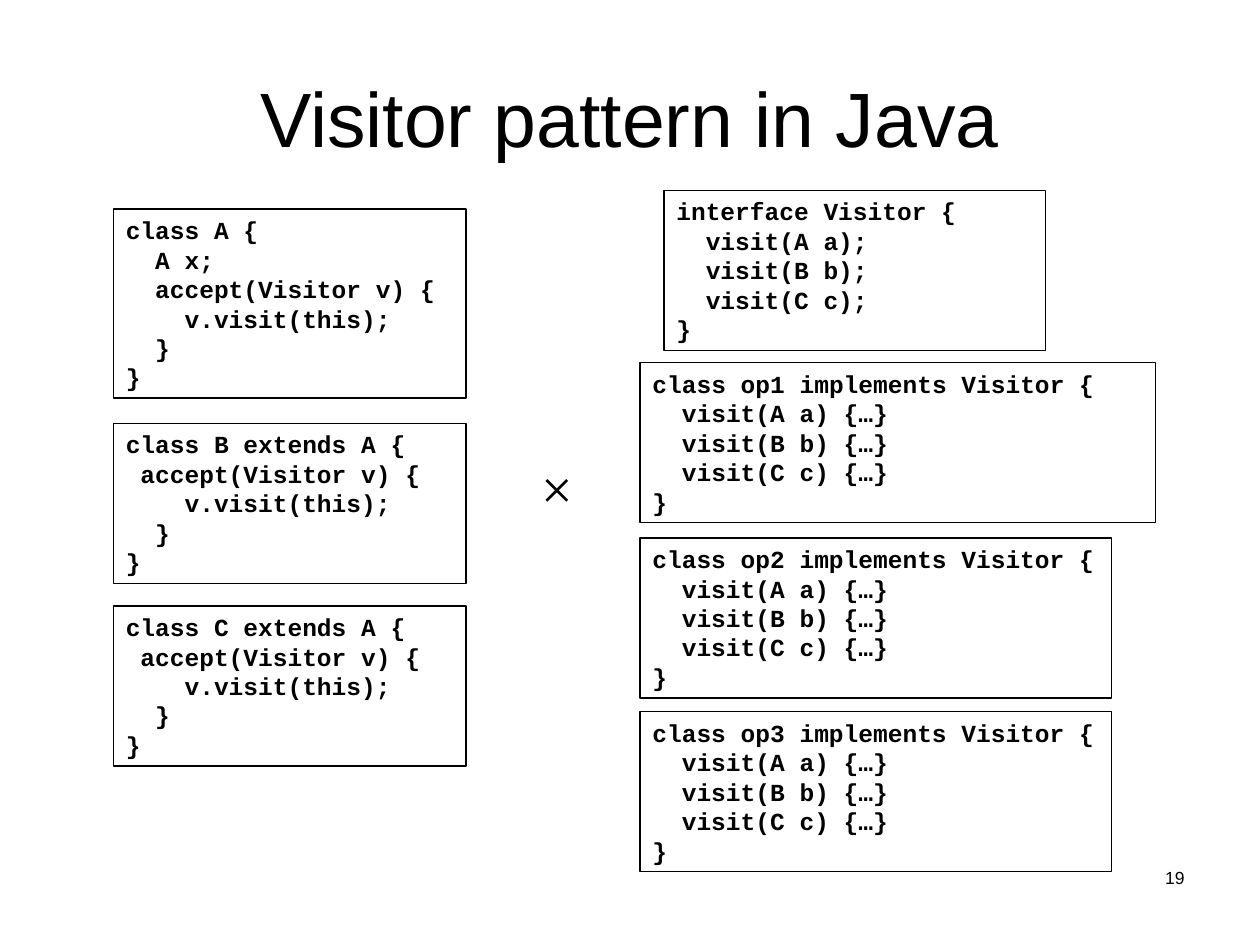
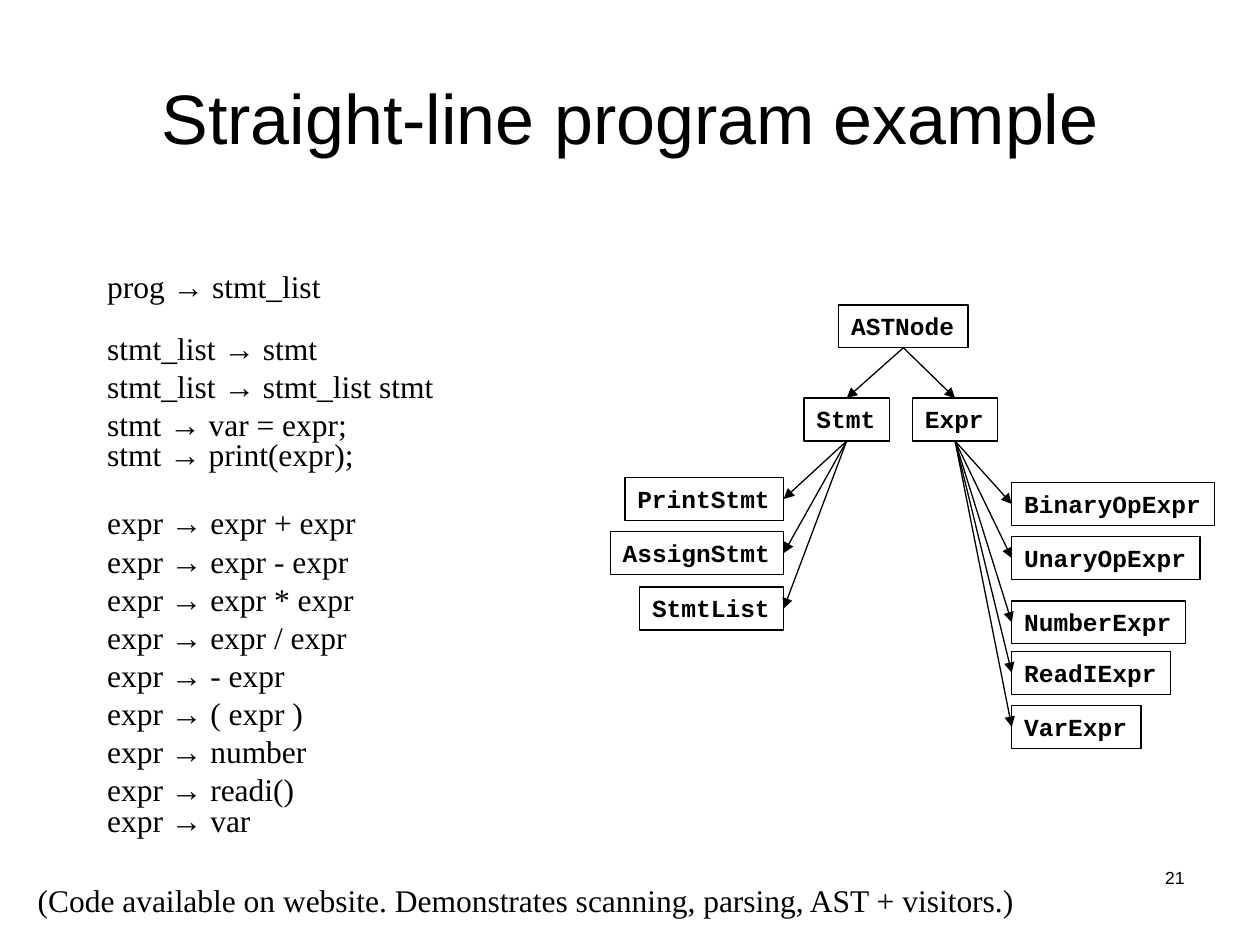
import lxml.etree
import pptx
import pptx.dml.color
import pptx.enum.shapes
import pptx.enum.text
import pptx.oxml.ns
import pptx.util

Inches = pptx.util.Inches
Pt = pptx.util.Pt
qn = pptx.oxml.ns.qn


class Theme:
    ink = pptx.dml.color.RGBColor(0, 0, 0)
    sans, serif, mono = "Arial", "Times New Roman", "Courier New"
    number_size, code_size, text_size, times_size = 10, 14, 18, 32
    line_width = Pt(0.75)


def style(paragraph, face, size, bold=False):
    paragraph.font.name = face
    paragraph.font.size = Pt(size)
    paragraph.font.bold = bold
    paragraph.font.color.rgb = Theme.ink


def add_text(slide, text, left, top, width, height, face, size, boxed=False, wrap=True):
    box = slide.shapes.add_textbox(Inches(left), Inches(top), Inches(width), Inches(height))
    box.text_frame.word_wrap = wrap
    box.text_frame.auto_size = pptx.enum.text.MSO_AUTO_SIZE.SHAPE_TO_FIT_TEXT
    paragraph = box.text_frame.paragraphs[0]
    paragraph.text = text
    style(paragraph, face, size, boxed)
    if boxed:
        box.line.color.rgb = Theme.ink
        box.line.width = Theme.line_width
    return box


deck = pptx.Presentation()
deck.slide_width, deck.slide_height = Inches(10), Inches(7.5)
visitor_slide = deck.slides.add_slide(deck.slide_layouts[5])
example_slide = deck.slides.add_slide(deck.slide_layouts[1])

for slide, heading, size, number in [
    (visitor_slide, "Visitor pattern in Java", 44, "19"),
    (example_slide, "Straight-line program example", 40, "21"),
]:
    title = slide.shapes.title
    title.left, title.top, title.width, title.height = map(Inches, (0.5, 0.3, 9, 1.25))
    title.text_frame.text = heading
    style(title.text_frame.paragraphs[0], Theme.sans, size)
    page = add_text(slide, number, 7.17, 6.83, 2.33, 0.5, Theme.sans, Theme.number_size)
    page.text_frame.auto_size = pptx.enum.text.MSO_AUTO_SIZE.NONE
    page.text_frame.paragraphs[0].alignment = pptx.enum.text.PP_ALIGN.RIGHT

class_a = """class A {
  A x;
  accept(Visitor v) {
    v.visit(this);
  }
}"""
subclass = """class {} extends A {{
 accept(Visitor v) {{
    v.visit(this);
  }}
}}"""
interface = """interface Visitor {
  visit(A a);
  visit(B b);
  visit(C c);
}"""
operation = """class {} implements Visitor {{
  visit(A a) {{…}}
  visit(B b) {{…}}
  visit(C c) {{…}}
}}"""

for code, left, top, width, height in [
    (class_a, 0.9, 1.66, 2.8, 1.5),
    (subclass.format("B"), 0.9, 3.36, 2.8, 1.27),
    (subclass.format("C"), 0.9, 4.81, 2.8, 1.27),
    (interface, 5.27, 1.51, 3.03, 1.27),
    (operation.format("op1"), 5.08, 2.88, 4.09, 1.27),
    (operation.format("op2"), 5.08, 4.27, 3.74, 1.27),
    (operation.format("op3"), 5.08, 5.65, 3.74, 1.27),
]:
    add_text(visitor_slide, code, left, top, width, height, Theme.mono, Theme.code_size, boxed=True)

times = add_text(visitor_slide, "×", 4.13, 3.55, 0.59, 0.64, Theme.serif, Theme.times_size)
times.text_frame.paragraphs[0].alignment = pptx.enum.text.PP_ALIGN.CENTER

rules = [
    ("prog", "stmt_list", 0),
    ("stmt_list", "stmt", 17.7),
    ("stmt_list", "stmt_list stmt", 4.5),
    ("stmt", "var = expr;", 4.5),
    ("stmt", "print(expr);", 0),
    ("expr", "expr + expr", 21.7),
    ("expr", "expr - expr", 4.5),
    ("expr", "expr * expr", 4.5),
    ("expr", "expr / expr", 4.5),
    ("expr", "- expr", 4.5),
    ("expr", "( expr )", 4.5),
    ("expr", "number", 4.5),
    ("expr", "readi()", 4.5),
    ("expr", "var", 0),
]
grammar = example_slide.placeholders[1]
grammar.left, grammar.top, grammar.width, grammar.height = map(Inches, (0.75, 2.13, 3.43, 4.57))
grammar.text_frame.auto_size = pptx.enum.text.MSO_AUTO_SIZE.NONE
for index, (symbol, expansion, gap) in enumerate(rules):
    rule = grammar.text_frame.add_paragraph() if index else grammar.text_frame.paragraphs[0]
    properties = rule._p.get_or_add_pPr()
    properties.set("marL", "0")
    properties.set("indent", "0")
    lxml.etree.SubElement(properties, qn("a:buNone"))
    rule.line_spacing = 0.8
    rule.space_before = Pt(gap)
    style(rule, Theme.serif, Theme.text_size)
    rule.add_run().text = f"{symbol} "
    arrow = rule.add_run()
    arrow.text = "→"
    arrow.font.name = Theme.sans
    rule.add_run().text = f" {expansion}"

TOP, LEFT, BOTTOM, RIGHT = range(4)
tree = [
    ("ASTNode", None, TOP, 7.17, 2.42),
    ("Stmt", "ASTNode", TOP, 6.72, 3.16),
    ("Expr", "ASTNode", TOP, 7.58, 3.16),
    ("PrintStmt", "Stmt", RIGHT, 6.22, 3.79),
    ("AssignStmt", "Stmt", RIGHT, 6.22, 4.22),
    ("StmtList", "Stmt", RIGHT, 6.22, 4.66),
    ("BinaryOpExpr", "Expr", LEFT, 8.03, 3.83),
    ("UnaryOpExpr", "Expr", LEFT, 8.03, 4.26),
    ("NumberExpr", "Expr", LEFT, 8.03, 4.77),
    ("ReadIExpr", "Expr", LEFT, 8.03, 5.17),
    ("VarExpr", "Expr", LEFT, 8.03, 5.6),
]
width_share = {TOP: 0.5, LEFT: 0, RIGHT: 1}
nodes = {}
for name, parent, side, anchor, top in tree:
    width = len(name) * Theme.code_size * 0.6 / 72 + 0.21
    left = anchor - width * width_share[side]
    nodes[name] = add_text(example_slide, name, left, top, width, 0.34,
                           Theme.mono, Theme.code_size, boxed=True, wrap=False)

for name, parent, side, anchor, top in tree[1:]:
    edge = example_slide.shapes.add_connector(pptx.enum.shapes.MSO_CONNECTOR.STRAIGHT, 0, 0, 0, 0)
    edge.begin_connect(nodes[parent], BOTTOM)
    edge.end_connect(nodes[name], side)
    edge.line.color.rgb = Theme.ink
    edge.line.width = Theme.line_width
    lxml.etree.SubElement(edge.line._get_or_add_ln(), qn("a:tailEnd"), type="triangle")
    lxml.etree.SubElement(edge._element.spPr, qn("a:effectLst"))

add_text(example_slide, "(Code available on website. Demonstrates scanning, parsing, AST + visitors.)",
         0.2, 6.94, 8.35, 0.4, Theme.serif, Theme.text_size)

deck.save("out.pptx")
